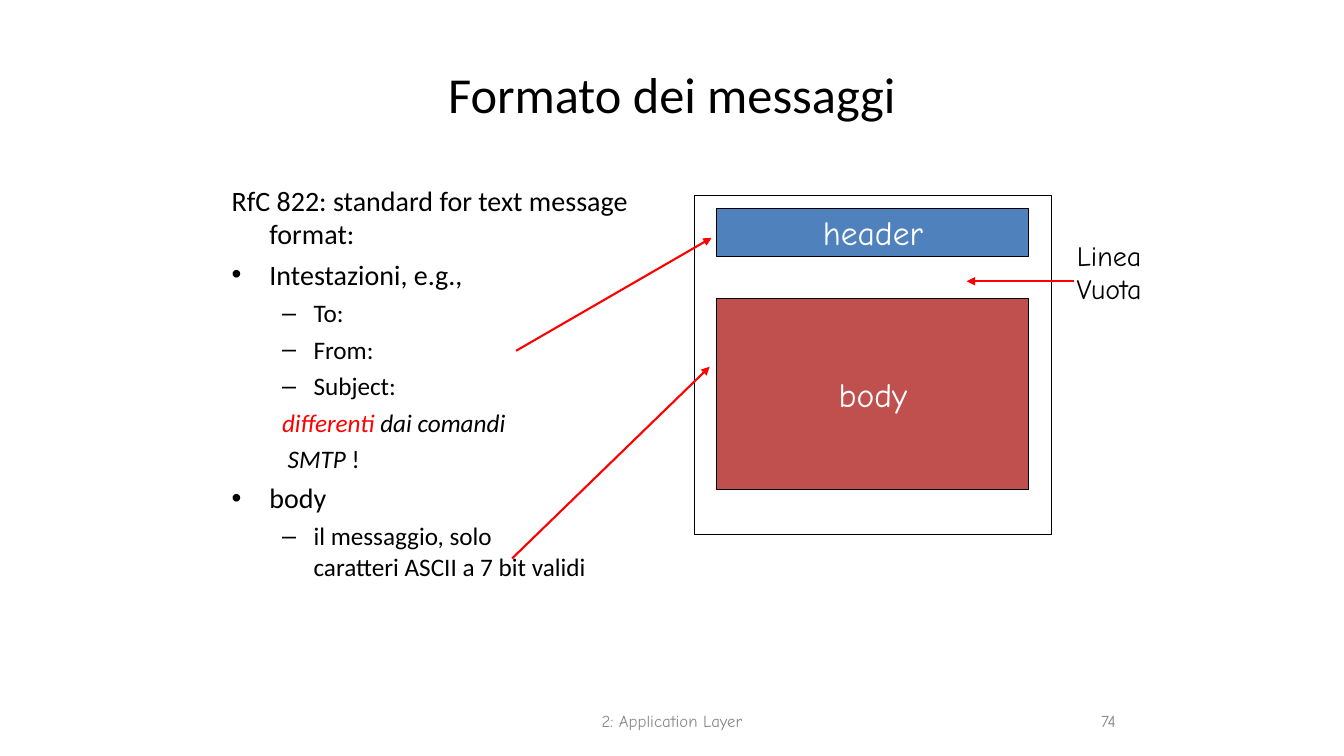
from lxml.etree import SubElement
from pptx import Presentation
from pptx.dml.color import RGBColor
from pptx.enum.shapes import MSO_CONNECTOR, MSO_SHAPE
from pptx.enum.text import MSO_ANCHOR, PP_ALIGN
from pptx.oxml.ns import qn
from pptx.util import Pt

THEME = {
    "black": RGBColor(0, 0, 0),
    "white": RGBColor(255, 255, 255),
    "red": RGBColor(255, 0, 0),
    "gray": RGBColor(0x89, 0x89, 0x89),
    "header": RGBColor(0x4F, 0x81, 0xBD),
    "body": RGBColor(0xC0, 0x50, 0x4D),
    "text_font": "Calibri",
    "label_font": "Comic Neue",
    "title_size": 36,
    "block_size": 24,
    "main_size": 20,
    "sub_size": 18,
    "footer_size": 12,
}

LEVELS = {
    0: {"size": "main_size", "left": 27, "hanging": -27, "before": 5},
    1: {"size": "sub_size", "left": 58.5, "hanging": -22.5, "before": 4.5},
}

OUTLINE = [
    (0, None, [("RfC 822: standard for text message format:", "black", False)]),
    (0, "•", [("Intestazioni, e.g.,", "black", False)]),
    (1, "–", [("To:", "black", False)]),
    (1, "–", [("From:", "black", False)]),
    (1, "–", [("Subject:", "black", False)]),
    (1, None, [("differenti ", "red", True), ("dai comandi", "black", True)]),
    (1, None, [(" SMTP ", "black", True), ("!", "black", False)]),
    (0, "•", [("body", "black", False)]),
    (1, "–", [("il messaggio, solo\ncaratteri ASCII a 7 bit validi", "black", False)]),
]

LABELS = [
    ("Formato dei messaggi", (156, 21.6, 648, 90), "text_font", "title_size",
     "black", PP_ALIGN.CENTER, MSO_ANCHOR.MIDDLE, True),
    ("2: Application Layer", (366, 500.5, 228, 29), "label_font", "footer_size",
     "gray", PP_ALIGN.CENTER, MSO_ANCHOR.MIDDLE, True),
    ("74", (636, 500.5, 168, 29), "label_font", "footer_size",
     "gray", PP_ALIGN.RIGHT, MSO_ANCHOR.MIDDLE, True),
    ("Linea\nVuota", (758, 166.5, 68.5, 56), "label_font", "main_size",
     "black", PP_ALIGN.CENTER, MSO_ANCHOR.TOP, False),
]

OUTLINE_BOX = (158.4, 127.4, 318, 356)
BLOCK_LEFT, BLOCK_WIDTH = 512, 223
BLOCKS = [("header", 149, 34), ("body", 213, 137)]
FRAME_BOX = (496, 139.7, 255, 242)
ARROWS = [
    (368.6, 250.6, 508.3, 169.9),
    (365.8, 398.9, 506.9, 262),
    (767.5, 200.9, 690.5, 200.9),
]


def points(values):
    return [Pt(value) for value in values]


def write(paragraph, text, font_name, size, color, italic=False):
    for index, line in enumerate(text.split("\n")):
        if index:
            paragraph.add_line_break()
        run = paragraph.add_run()
        run.text = line
        run.font.color.rgb = THEME[color]
        font_format = {"name": THEME[font_name], "size": Pt(THEME[size]), "italic": italic}
        for name, value in font_format.items():
            setattr(run.font, name, value)


def fill_label(shape, text, font_name, size, color, align, anchor, wrap):
    frame = shape.text_frame
    for name, value in {"word_wrap": wrap, "vertical_anchor": anchor}.items():
        setattr(frame, name, value)
    paragraph = frame.paragraphs[0]
    paragraph.alignment = align
    write(paragraph, text, font_name, size, color)


def add_outline(slide):
    frame = slide.shapes.add_textbox(*points(OUTLINE_BOX)).text_frame
    frame.word_wrap = True
    for index, (level, bullet, runs) in enumerate(OUTLINE):
        style = LEVELS[level]
        paragraph = frame.add_paragraph() if index else frame.paragraphs[0]
        paragraph.level = level
        paragraph.space_before = Pt(style["before"] if index else 0)
        properties = paragraph._p.get_or_add_pPr()
        properties.set("marL", str(Pt(style["left"])))
        properties.set("indent", str(Pt(style["hanging"])))
        if bullet:
            color = SubElement(SubElement(properties, qn("a:buClr")), qn("a:srgbClr"))
            color.set("val", str(THEME["black"]))
            SubElement(properties, qn("a:buFont")).set("typeface", "Arial")
            SubElement(properties, qn("a:buChar")).set("char", bullet)
        else:
            SubElement(properties, qn("a:buNone"))
        for text, color, italic in runs:
            write(paragraph, text, "text_font", style["size"], color, italic)


def add_rectangle(slide, box, line_width, fill=None):
    shape = slide.shapes.add_shape(MSO_SHAPE.RECTANGLE, *points(box))
    shape.shadow.inherit = False
    if fill:
        shape.fill.solid()
        shape.fill.fore_color.rgb = THEME[fill]
    else:
        shape.fill.background()
    shape.line.color.rgb = THEME["black"]
    shape.line.width = Pt(line_width)
    return shape


def add_arrow(slide, ends):
    arrow = slide.shapes.add_connector(MSO_CONNECTOR.STRAIGHT, *points(ends))
    arrow.line.color.rgb = THEME["red"]
    arrow.line.width = Pt(1.5)
    SubElement(arrow.line._get_or_add_ln(), qn("a:tailEnd")).set("type", "triangle")
    SubElement(arrow._element.spPr, qn("a:effectLst"))


def main():
    presentation = Presentation()
    presentation.slide_width, presentation.slide_height = points((960, 540))
    slide = presentation.slides.add_slide(presentation.slide_layouts[6])
    add_outline(slide)
    for name, top, height in BLOCKS:
        block = add_rectangle(slide, (BLOCK_LEFT, top, BLOCK_WIDTH, height), 0.75, name)
        fill_label(block, name, "label_font", "block_size", "white",
                   PP_ALIGN.CENTER, MSO_ANCHOR.MIDDLE, False)
    add_rectangle(slide, FRAME_BOX, 1)
    for text, box, *style in LABELS:
        fill_label(slide.shapes.add_textbox(*points(box)), text, *style)
    for ends in ARROWS:
        add_arrow(slide, ends)
    presentation.save("out.pptx")


if __name__ == "__main__":
    main()
